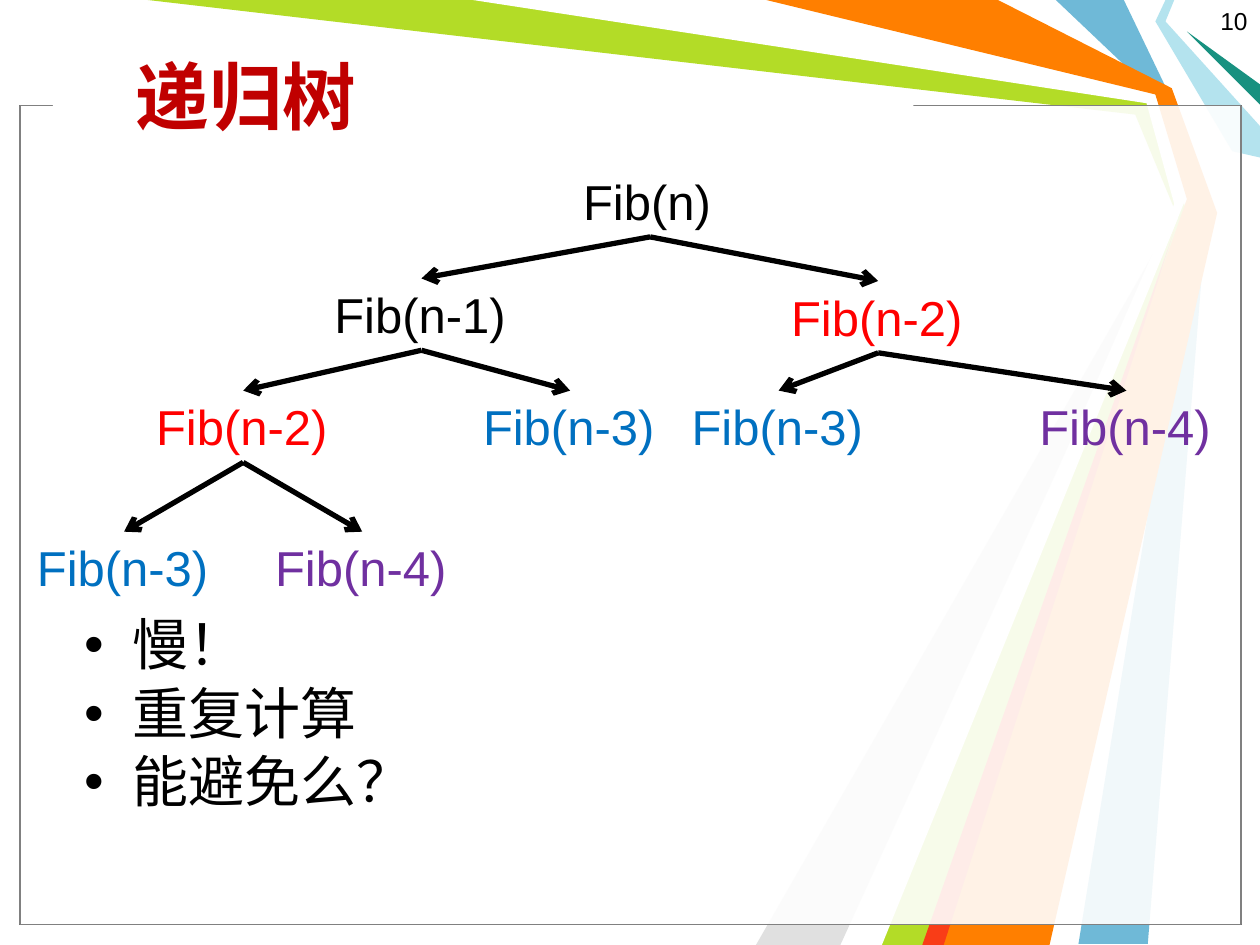
from dataclasses import dataclass

from lxml import etree
from pptx import Presentation
from pptx.dml.color import RGBColor
from pptx.enum.shapes import MSO_CONNECTOR, MSO_SHAPE
from pptx.enum.text import MSO_ANCHOR, MSO_AUTO_SIZE, PP_ALIGN
from pptx.oxml.ns import qn
from pptx.util import Inches, Pt

STRAIGHT = MSO_CONNECTOR.STRAIGHT
RECTANGLE = MSO_SHAPE.RECTANGLE
TOP, MIDDLE = MSO_ANCHOR.TOP, MSO_ANCHOR.MIDDLE
FIT_SHAPE = MSO_AUTO_SIZE.SHAPE_TO_FIT_TEXT
LEFT, RIGHT = PP_ALIGN.LEFT, PP_ALIGN.RIGHT

COLUMNS, ROWS = 100, 75
SLIDE_WIDTH, SLIDE_HEIGHT = Inches(10), Inches(7.5)
NODE_HEIGHT = 5.7


@dataclass(frozen=True)
class Theme:
    latin: str = "Arial"
    chinese: str = "Noto Sans CJK SC"
    ink: str = "000000"
    paper: str = "FFFFFF"
    title: str = "C00000"
    border: str = "808080"
    sky: str = "6FB9D7"
    lime: str = "B3DC27"
    silver: str = "E0E0E0"
    aqua: str = "B4E3EE"
    teal: str = "189180"
    orange: str = "FF7F00"
    scarlet: str = "F93D17"
    number_size: int = 14
    title_size: int = 42
    node_size: int = 28
    point_size: int = 32
    border_width: float = 0.75
    arrow_width: int = 3
    veil_opacity: int = 69


@dataclass(frozen=True)
class Call:
    argument: str
    center: float
    top: float
    children: tuple = ()


THEME = Theme()
CALL_COLORS = {"n": "000000", "n-1": "000000", "n-2": "FF0000",
               "n-3": "0070C0", "n-4": "7030A0"}
CALL_TREE = Call("n", 51.6, 13.1, (
    Call("n-1", 33.45, 22.1, (
        Call("n-2", 19.3, 31, (
            Call("n-3", 9.85, 42.2),
            Call("n-4", 28.75, 42.2))),
        Call("n-3", 45.25, 31))),
    Call("n-2", 69.7, 22.3, (
        Call("n-3", 61.8, 31),
        Call("n-4", 89.4, 31))),
))
RIBBONS = (
    (THEME.sky, ((89.2, 0), (92.9, 7.7), (95.8, 16.7), (91.1, 74.9),
                 (85.6, 74.9), (95, 16.7), (91.7, 7.5), (83.8, 0))),
    (THEME.lime, ((11.7, 0), (38.3, 0), (91.4, 7.8), (94.2, 16.9),
                  (74.2, 75), (69.2, 75), (93.5, 17.3), (90.1, 9.1))),
    (THEME.silver, ((66.7, 75), (92.7, 18.1), (60, 75))),
    (THEME.paper, ((37.5, 0), (91, 8.2), (93.2, 16.2), (67.5, 75),
                   (70, 75), (94.1, 15.8), (91.7, 7.5), (60, 0))),
    (THEME.aqua, ((92.5, 0), (91.7, 1.7), (97.8, 12), (100, 12.5),
                  (100, 10), (92.5, 1.7), (93.2, 0))),
    (THEME.teal, ((100, 8.3), (94.2, 2.5), (100, 6.7))),
    (THEME.orange, ((60.8, 0), (79.2, 0), (93, 7), (96.6, 16.9),
                    (83.3, 75), (73.3, 75), (94.2, 15.8), (91.7, 7.5))),
    (THEME.scarlet, ((73.2, 75), (93.2, 18.3), (74.9, 75))),
)


def col(count):
    return round(SLIDE_WIDTH * count / COLUMNS)


def row(count):
    return round(SLIDE_HEIGHT * count / ROWS)


def rgb(color):
    return RGBColor.from_string(color)


def add_ribbon(slide, color, corners):
    points = [(col(x), row(y)) for x, y in corners]
    builder = slide.shapes.build_freeform(*points[0])
    builder.add_line_segments(points[1:], close=True)
    ribbon = builder.convert_to_shape()
    ribbon.shadow.inherit = False
    ribbon.fill.solid()
    ribbon.fill.fore_color.rgb = rgb(color)
    ribbon.line.fill.background()


def add_panel(slide, left, top, width, height, border=None, opacity=100):
    panel = slide.shapes.add_shape(RECTANGLE, col(left), row(top), col(width), row(height))
    panel.shadow.inherit = False
    panel.fill.solid()
    panel.fill.fore_color.rgb = rgb(THEME.paper)
    if opacity < 100:
        color = panel.fill._xPr.find(qn("a:solidFill")).find(qn("a:srgbClr"))
        etree.SubElement(color, qn("a:alpha"), val=str(opacity * 1000))
    if border:
        panel.line.color.rgb = rgb(border)
        panel.line.width = Pt(THEME.border_width)
    else:
        panel.line.fill.background()


def add_text_frame(slide, left, top, width, height, wrap=True, anchor=TOP):
    box = slide.shapes.add_textbox(col(left), row(top), col(width), row(height))
    frame = box.text_frame
    frame.word_wrap = wrap
    frame.vertical_anchor = anchor
    return frame


def add_run(paragraph, text, size, color, typeface, bold=False):
    run = paragraph.add_run()
    run.text = text
    font = run.font
    font.size = Pt(size)
    font.bold = bold
    font.color.rgb = rgb(color)
    font.name = typeface
    etree.SubElement(run._r.get_or_add_rPr(), qn("a:ea"), typeface=typeface)


def add_label(frame, text, size, color, typeface, bold=False, align=LEFT):
    paragraph = frame.paragraphs[0]
    paragraph.alignment = align
    add_run(paragraph, text, size, color, typeface, bold)


def add_arrow(slide, start, end):
    arrow = slide.shapes.add_connector(
        STRAIGHT, col(start[0]), row(start[1]), col(end[0]), row(end[1]))
    arrow.line.color.rgb = rgb(THEME.ink)
    arrow.line.width = Pt(THEME.arrow_width)
    etree.SubElement(arrow.line._get_or_add_ln(), qn("a:tailEnd"), type="arrow")
    etree.SubElement(arrow._element.spPr, qn("a:effectLst"))


def add_call_tree(slide, call):
    width = 12.6 if call.argument == "n" else 15.8
    frame = add_text_frame(slide, call.center - width / 2, call.top,
                           width, NODE_HEIGHT, wrap=False)
    frame.auto_size = FIT_SHAPE
    add_label(frame, f"Fib({call.argument})", THEME.node_size,
              CALL_COLORS[call.argument], THEME.latin)
    for child in call.children:
        add_arrow(slide, (call.center, call.top + NODE_HEIGHT), (child.center, child.top))
        add_call_tree(slide, child)


def add_points(frame, points):
    for index, point in enumerate(points):
        paragraph = frame.add_paragraph() if index else frame.paragraphs[0]
        properties = paragraph._p.get_or_add_pPr()
        properties.set("marL", str(col(3.8)))
        properties.set("indent", str(-col(3.8)))
        bullet_color = etree.SubElement(properties, qn("a:buClr"))
        etree.SubElement(bullet_color, qn("a:srgbClr"), val=THEME.ink)
        etree.SubElement(properties, qn("a:buFont"), typeface=THEME.latin)
        etree.SubElement(properties, qn("a:buChar"), char="•")
        paragraph.line_spacing = 0.9
        if index:
            paragraph.space_before = Pt(4.6)
        add_run(paragraph, point, THEME.point_size, THEME.ink, THEME.chinese)


def main():
    deck = Presentation()
    deck.slide_width, deck.slide_height = SLIDE_WIDTH, SLIDE_HEIGHT
    slide = deck.slides.add_slide(deck.slide_layouts[6])

    for color, corners in RIBBONS:
        add_ribbon(slide, color, corners)
    for border in (THEME.ink, THEME.border):
        add_panel(slide, 1.6, 8.4, 96.9, 65, border, THEME.veil_opacity)
    add_panel(slide, 4.2, 7.4, 68.3, 1.7)

    add_label(add_text_frame(slide, 76.7, 0, 23.3, 5.2), "10",
              THEME.number_size, THEME.ink, THEME.latin, align=RIGHT)
    add_label(add_text_frame(slide, 9.8, 1.3, 74, 12.5, anchor=MIDDLE), "递归树",
              THEME.title_size, THEME.title, THEME.chinese, bold=True)
    add_call_tree(slide, CALL_TREE)
    add_points(add_text_frame(slide, 5.7, 48.5, 90, 19.7),
               ("慢！", "重复计算", "能避免么？"))

    deck.save("out.pptx")


if __name__ == "__main__":
    main()
